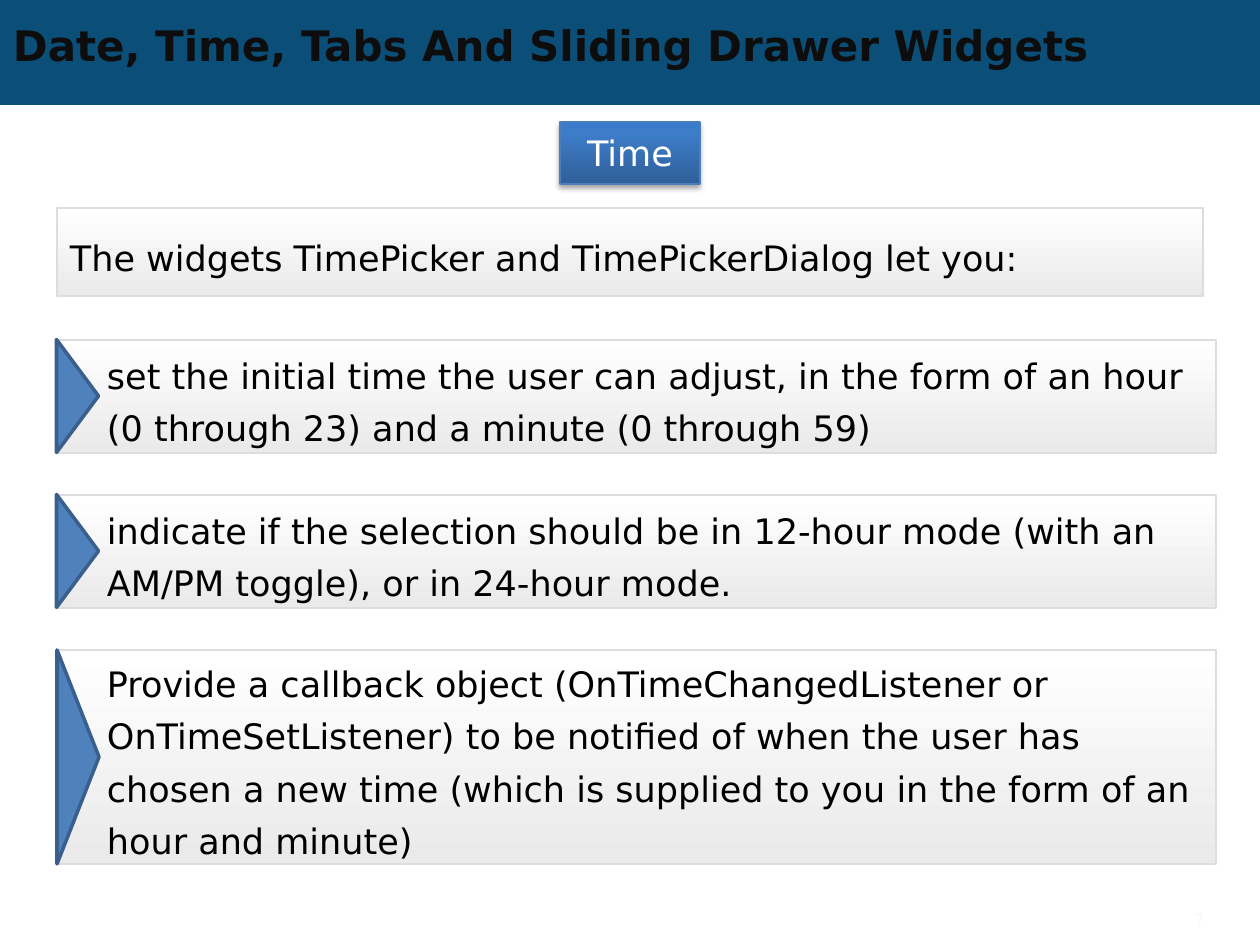
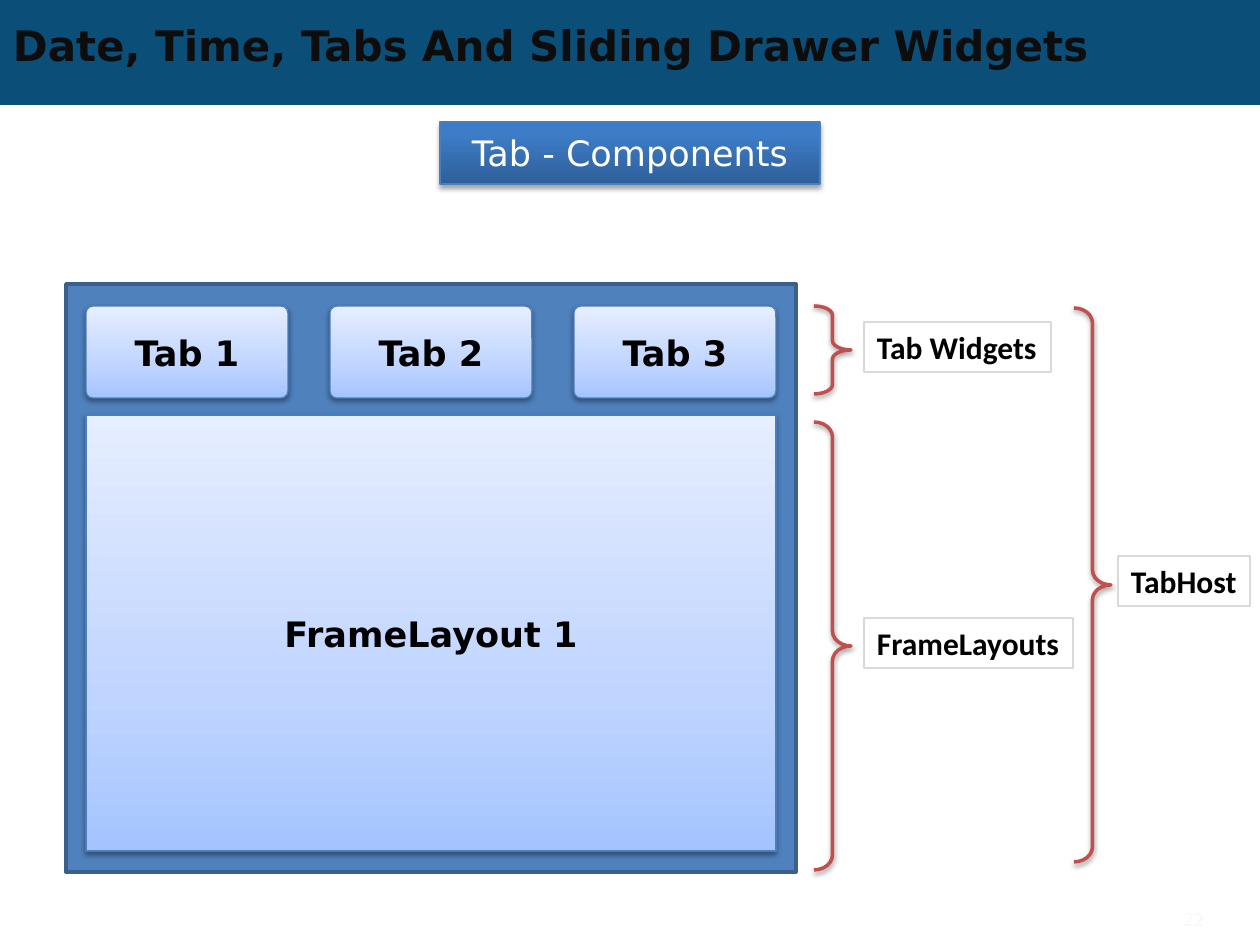
"""Build two slides on time widgets and tab components."""
from dataclasses import dataclass
from typing import NamedTuple

from lxml import etree
from pptx import Presentation
from pptx.dml.color import RGBColor
from pptx.enum.shapes import MSO_SHAPE
from pptx.enum.text import MSO_ANCHOR, PP_ALIGN
from pptx.oxml.ns import qn
from pptx.shapes.autoshape import Shape
from pptx.slide import Slide
from pptx.util import Emu, Pt

RECT = MSO_SHAPE.RECTANGLE
ROUNDED = MSO_SHAPE.ROUNDED_RECTANGLE
TRIANGLE = MSO_SHAPE.ISOSCELES_TRIANGLE
BRACE = MSO_SHAPE.RIGHT_BRACE
LEFT, CENTER, RIGHT, JUSTIFY = (
    PP_ALIGN.LEFT, PP_ALIGN.CENTER, PP_ALIGN.RIGHT, PP_ALIGN.JUSTIFY)
TOP, MIDDLE = MSO_ANCHOR.TOP, MSO_ANCHOR.MIDDLE

PX = 914400 / 126
WIDTH, HEIGHT = 1260, 945
TITLE = "Date, Time, Tabs And Sliding Drawer Widgets"


class Box(NamedTuple):
    """A rectangle in px."""

    x: int
    y: int
    w: int
    h: int


class Gradient(NamedTuple):
    """Colour stops (percent, colour) along an anticlockwise angle."""

    stops: tuple[tuple[int, str], ...]
    angle: int


class Insets(NamedTuple):
    """Text margins in px."""

    left: int = 13
    top: int = 6
    right: int = 13
    bottom: int = 6


@dataclass(frozen=True)
class Style:
    """Fill, outline and shadow of a shape."""

    fill: str | Gradient | None = None
    line: str | None = None
    weight: float = 1
    shadow: int = 0
    drop: float = 1.6


@dataclass(frozen=True)
class Theme:
    """Colours, fonts, type sizes and shape styles of the deck."""

    font: str = "DejaVu Sans"
    label_font: str = "Calibri"
    ink: str = "000000"
    title_ink: str = "0D0D0D"
    white: str = "FFFFFF"
    number_ink: str = "F8F8F8"
    title_size: int = 24
    body_size: int = 20
    label_size: int = 18
    number_size: int = 10
    leading: int = 30
    band: Style = Style("0B4E78")
    panel: Style = Style(Gradient(((0, "FFFFFF"), (100, "EAEAEA")), 270), "DDDDDD")
    solid: Style = Style("4F81BD", "3A5F8C", 2)
    heading: Style = Style(
        Gradient(((0, "2F5F99"), (80, "3D7CC7"), (100, "3A7CCB")), 90),
        "4B7EBC", 0.75, 35, 1.8)
    tile: Style = Style(
        Gradient(((0, "A4C4FF"), (35, "BFD4FF"), (100, "E6EEFF")), 90),
        "4B7EBC", 0.75, 38)
    brace: Style = Style(None, "C0504D", 2, 38)
    label: Style = Style(None, "D9D9D9", 1.5)


class Point(NamedTuple):
    """A bullet panel: its text and height in px."""

    text: str
    h: int


class Part(NamedTuple):
    """A braced part of the diagram with its label."""

    brace: Box
    curve: float
    name: str
    label: Box


T = Theme()

POINTS = (
    Point("set the initial time the user can adjust, in the form of an hour "
          "(0 through 23) and a minute (0 through 59)", 113),
    Point("indicate if the selection should be in 12‐hour mode (with an "
          "AM/PM toggle), or in 24‐hour mode.", 113),
    Point("Provide a callback object (OnTimeChangedListener or "
          "OnTimeSetListener) to be notified of when the user has chosen a new "
          "time (which is supplied to you in the form of an hour and minute)", 214),
)

PARTS = (
    Part(Box(814, 306, 37, 88), 0.25, "Tab Widgets", Box(864, 322, 187, 50)),
    Part(Box(814, 422, 37, 448), 0.405, "FrameLayouts", Box(864, 618, 209, 50)),
    Part(Box(1074, 308, 37, 554), 0.405, "TabHost", Box(1118, 556, 132, 50)),
)


def px(n: float) -> Emu:
    """Turn px into EMU."""
    return Emu(round(n * PX))


def paint_gradient(sp: Shape, gradient: Gradient) -> None:
    """Fill a shape with a linear gradient."""
    sp.fill.gradient()
    sp.fill.gradient_angle = gradient.angle
    stops = sp._element.spPr.find(qn("a:gradFill")).find(qn("a:gsLst"))
    for old in list(stops):
        stops.remove(old)
    for pos, color in gradient.stops:
        gs = etree.SubElement(stops, qn("a:gs"), pos=str(pos * 1000))
        etree.SubElement(gs, qn("a:srgbClr"), val=color)


def paint_shadow(sp: Shape, opacity: int, drop: float) -> None:
    """Cast a soft black shadow straight down."""
    effects = sp._element.spPr.find(qn("a:effectLst"))
    outer = etree.SubElement(
        effects, qn("a:outerShdw"), blurRad=str(Pt(3.1)), dist=str(Pt(drop)),
        dir="5400000", rotWithShape="0")
    color = etree.SubElement(outer, qn("a:srgbClr"), val="000000")
    etree.SubElement(color, qn("a:alpha"), val=str(opacity * 1000))


def add_shape(s: Slide, kind: MSO_SHAPE, box: Box, style: Style,
              adjust: tuple[float, ...] = ()) -> Shape:
    """Draw a preset shape in a style."""
    sp = s.shapes.add_shape(kind, *map(px, box))
    for i, value in enumerate(adjust):
        sp.adjustments[i] = value
    if isinstance(style.fill, Gradient):
        paint_gradient(sp, style.fill)
    elif style.fill:
        sp.fill.solid()
        sp.fill.fore_color.rgb = RGBColor.from_string(style.fill)
    else:
        sp.fill.background()
    if style.line:
        sp.line.color.rgb = RGBColor.from_string(style.line)
        sp.line.width = Pt(style.weight)
    else:
        sp.line.fill.background()
    sp.shadow.inherit = False
    if style.shadow:
        paint_shadow(sp, style.shadow, style.drop)
    return sp


def set_text(sp: Shape, text: str, *, size: int = T.body_size, font: str = T.font,
             color: str = T.ink, bold: bool = False, align: PP_ALIGN = CENTER,
             anchor: MSO_ANCHOR = MIDDLE, leading: int | None = None,
             insets: Insets = Insets(), wrap: bool = True) -> None:
    """Write one formatted paragraph into a shape."""
    tf = sp.text_frame
    tf.word_wrap = wrap
    tf.vertical_anchor = anchor
    tf.margin_left, tf.margin_top, tf.margin_right, tf.margin_bottom = map(px, insets)
    p = tf.paragraphs[0]
    p.alignment = align
    if leading:
        p.line_spacing = Pt(leading)
    r = p.add_run()
    r.text = text
    r.font.name = font
    r.font.size = Pt(size)
    r.font.bold = bold
    r.font.color.rgb = RGBColor.from_string(color)


def add_base(prs: Presentation, heading: str, heading_w: int, number: int) -> Slide:
    """Add a slide with its band, title, heading and number."""
    s = prs.slides.add_slide(prs.slide_layouts[6])
    add_shape(s, RECT, Box(0, 0, WIDTH, 105), T.band)
    title = s.shapes.add_textbox(*map(px, Box(0, 18, 1134, 54)))
    set_text(title, TITLE, size=T.title_size, color=T.title_ink, bold=True, align=LEFT)
    box = Box((WIDTH - heading_w) // 2, 122, heading_w, 62)
    set_text(add_shape(s, RECT, box, T.heading), heading, color=T.white)
    footer = s.shapes.add_textbox(*map(px, Box(1118, 900, 100, 40)))
    set_text(footer, str(number), size=T.number_size, color=T.number_ink, align=RIGHT)
    return s


def add_points(s: Slide, x: int, y: int, w: int, gap: int) -> None:
    """Stack the bullet panels, each with an arrowhead at its left."""
    arrow_w = 42
    for point in POINTS:
        panel = add_shape(s, RECT, Box(x, y, w, point.h), T.panel)
        set_text(panel, point.text, align=LEFT, leading=T.leading,
                 insets=Insets(50, 0, 13, 0))
        turned = Box(x + (arrow_w - point.h) // 2, y + (point.h - arrow_w) // 2,
                     point.h, arrow_w)
        add_shape(s, TRIANGLE, turned, T.solid).rotation = 90
        y += point.h + gap


def build_time(prs: Presentation) -> None:
    """Build the slide on time widgets."""
    s = add_base(prs, "Time", 140, 7)
    intro = add_shape(s, RECT, Box(57, 208, 1146, 88), T.panel)
    set_text(intro, "The widgets TimePicker and TimePickerDialog let you:",
             align=JUSTIFY, leading=T.leading)
    add_points(s, 57, 340, 1159, 42)


def build_tabs(prs: Presentation) -> None:
    """Build the slide on the components of a tab."""
    s = add_base(prs, "Tab - Components", 380, 22)
    add_shape(s, RECT, Box(66, 284, 730, 588), T.solid)
    frame = Box(86, 415, 690, 436)
    set_text(add_shape(s, RECT, frame, T.tile), "FrameLayout 1", bold=True)
    count, tab_w = 3, 202
    pitch = (frame.w - tab_w) // (count - 1)
    for i in range(count):
        box = Box(frame.x + i * pitch, 306, tab_w, 92)
        tab = add_shape(s, ROUNDED, box, T.tile, (0.075,))
        set_text(tab, f"Tab {i + 1}", bold=True)
    for part in PARTS:
        add_shape(s, BRACE, part.brace, T.brace, (part.curve, 0.5))
        label = add_shape(s, RECT, part.label, T.label)
        set_text(label, part.name, size=T.label_size, font=T.label_font, bold=True,
                 align=LEFT, anchor=TOP, wrap=False)


def main() -> None:
    """Build and save the deck."""
    prs = Presentation()
    prs.slide_width, prs.slide_height = px(WIDTH), px(HEIGHT)
    build_time(prs)
    build_tabs(prs)
    prs.save("out.pptx")


if __name__ == "__main__":
    main()
